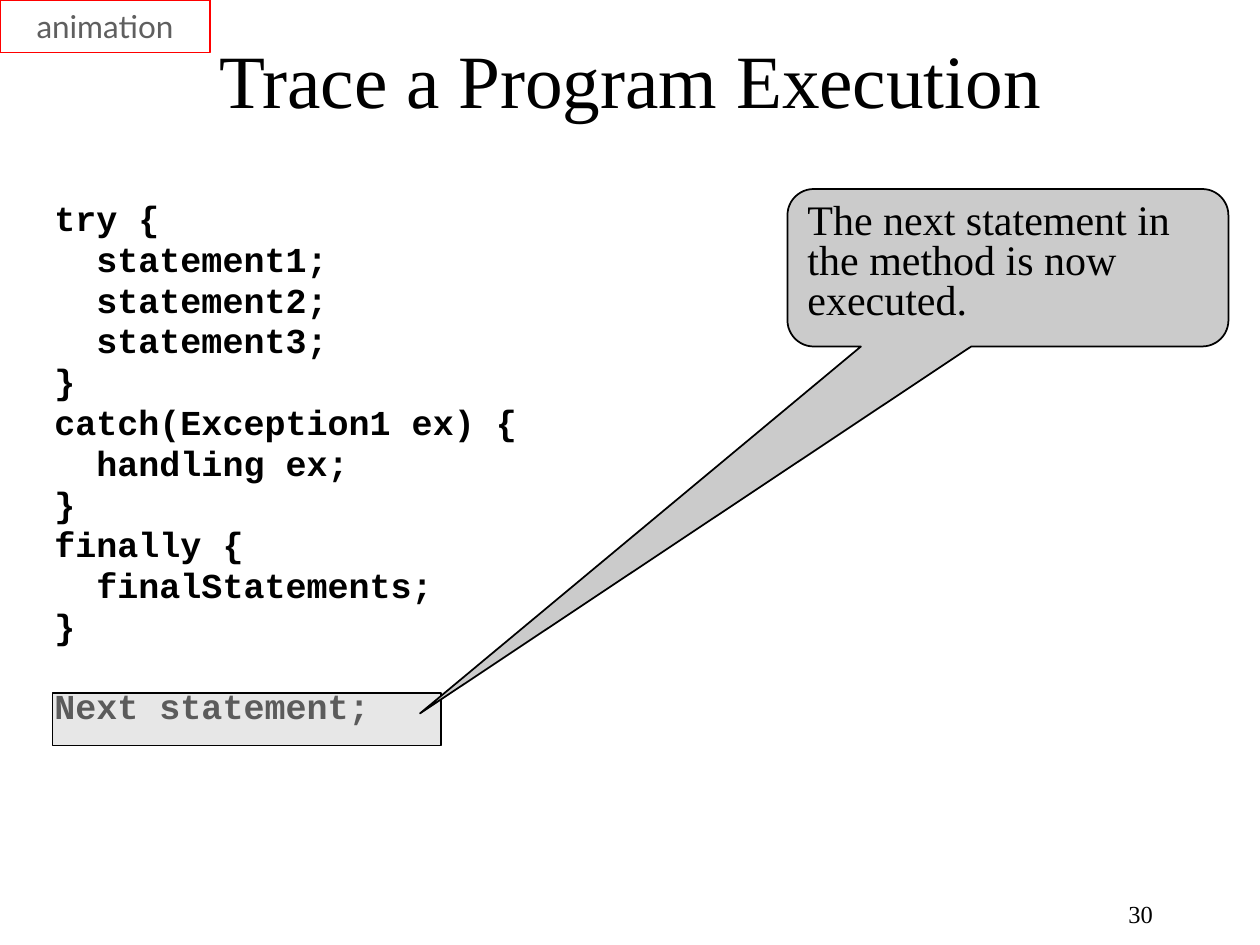
from lxml import etree
from pptx import Presentation
from pptx.dml.color import RGBColor
from pptx.enum import shapes, text
from pptx.oxml import ns
from pptx.util import Pt

HUES = {"ink": "000000", "gray": "5F5F5F", "fill": "CBCBCB", "red": "FF0000"}
SERIF = "Times New Roman"
KIND = shapes.MSO_SHAPE
SIDE = text.PP_ALIGN
CODE = [
    "try {",
    "  statement1;",
    "  statement2;",
    "  statement3;",
    "}",
    "catch(Exception1 ex) {",
    "  handling ex;",
    "}",
    "finally {",
    "  finalStatements;",
    "}",
]
LAST = "Next statement;"
GAP = 4.1
BREAK = 26.8


def hue(name):
    return RGBColor.from_string(HUES[name])


def write(par, words, face, size, ink="ink", bold=False, side=SIDE.LEFT):
    par.alignment = side
    run = par.add_run()
    run.text = words
    font = run.font
    font.name, font.size, font.bold = face, Pt(size), bold
    font.color.rgb = hue(ink)


def set_frame(shape, anchor, top=3.6):
    frame = shape.text_frame
    frame.word_wrap = True
    frame.auto_size = text.MSO_AUTO_SIZE.NONE
    frame.vertical_anchor = anchor
    frame.margin_left = frame.margin_right = Pt(7.2)
    frame.margin_top, frame.margin_bottom = Pt(top), Pt(3.6)
    return frame


def add_box(slide, area, anchor=text.MSO_ANCHOR.MIDDLE, top=3.6):
    box = slide.shapes.add_textbox(*map(Pt, area))
    return set_frame(box, anchor, top)


def add_form(slide, kind, area, line="ink", fill=None, alpha=None):
    form = slide.shapes.add_shape(kind, *map(Pt, area))
    form.shadow.inherit = False
    form.line.color.rgb = hue(line)
    form.line.width = Pt(1)
    if fill:
        form.fill.solid()
        form.fill.fore_color.rgb = hue(fill)
    else:
        form.fill.background()
    if alpha:
        tint = form.fill._xPr.find(ns.qn("a:solidFill"))[0]
        etree.SubElement(tint, ns.qn("a:alpha"), val=str(alpha * 1000))
    return form


def add_title(slide, words):
    title = slide.shapes.title
    title.left, title.top = Pt(54), Pt(24)
    title.width, title.height = Pt(612), Pt(42)
    frame = set_frame(title, text.MSO_ANCHOR.MIDDLE)
    write(frame.paragraphs[0], words, SERIF, 43, side=SIDE.CENTER)


def add_label(slide, words):
    form = add_form(slide, KIND.RECTANGLE, (0, 0, 120, 30), "red")
    frame = set_frame(form, text.MSO_ANCHOR.MIDDLE)
    write(frame.paragraphs[0], words, "Lato", 18, "gray", side=SIDE.CENTER)


def add_code(slide, lines, last):
    frame = add_box(slide, (24, 114, 366, 354), text.MSO_ANCHOR.TOP, 3)
    for i, line in enumerate(lines + [last]):
        par = frame.add_paragraph() if i else frame.paragraphs[0]
        par.line_spacing = 0.8
        if i:
            par.space_before = Pt(BREAK if line == last else GAP)
        write(par, line, "Courier New", 20, bold=True)


def add_callout(slide, words):
    form = add_form(
        slide, KIND.ROUNDED_RECTANGULAR_CALLOUT, (450, 108, 252, 90), fill="fill"
    )
    for i, value in enumerate((-4 / 3, 2.83, 1 / 6)):
        form.adjustments[i] = value
    par = set_frame(form, text.MSO_ANCHOR.TOP).paragraphs[0]
    par.line_spacing = 0.8
    write(par, words, SERIF, 24)


def add_number(slide, words):
    frame = add_box(slide, (516, 504, 150, 36))
    write(frame.paragraphs[0], words, SERIF, 14, side=SIDE.RIGHT)


def main():
    deck = Presentation()
    deck.slide_width, deck.slide_height = Pt(720), Pt(540)
    slide = deck.slides.add_slide(deck.slide_layouts[5])
    add_number(slide, "30")
    add_title(slide, "Trace a Program Execution")
    add_label(slide, "animation")
    add_code(slide, CODE, LAST)
    add_form(slide, KIND.RECTANGLE, (30, 396, 222, 30), fill="fill", alpha=45)
    add_callout(slide, "The next statement in the method is now executed.")
    deck.save("out.pptx")


if __name__ == "__main__":
    main()
